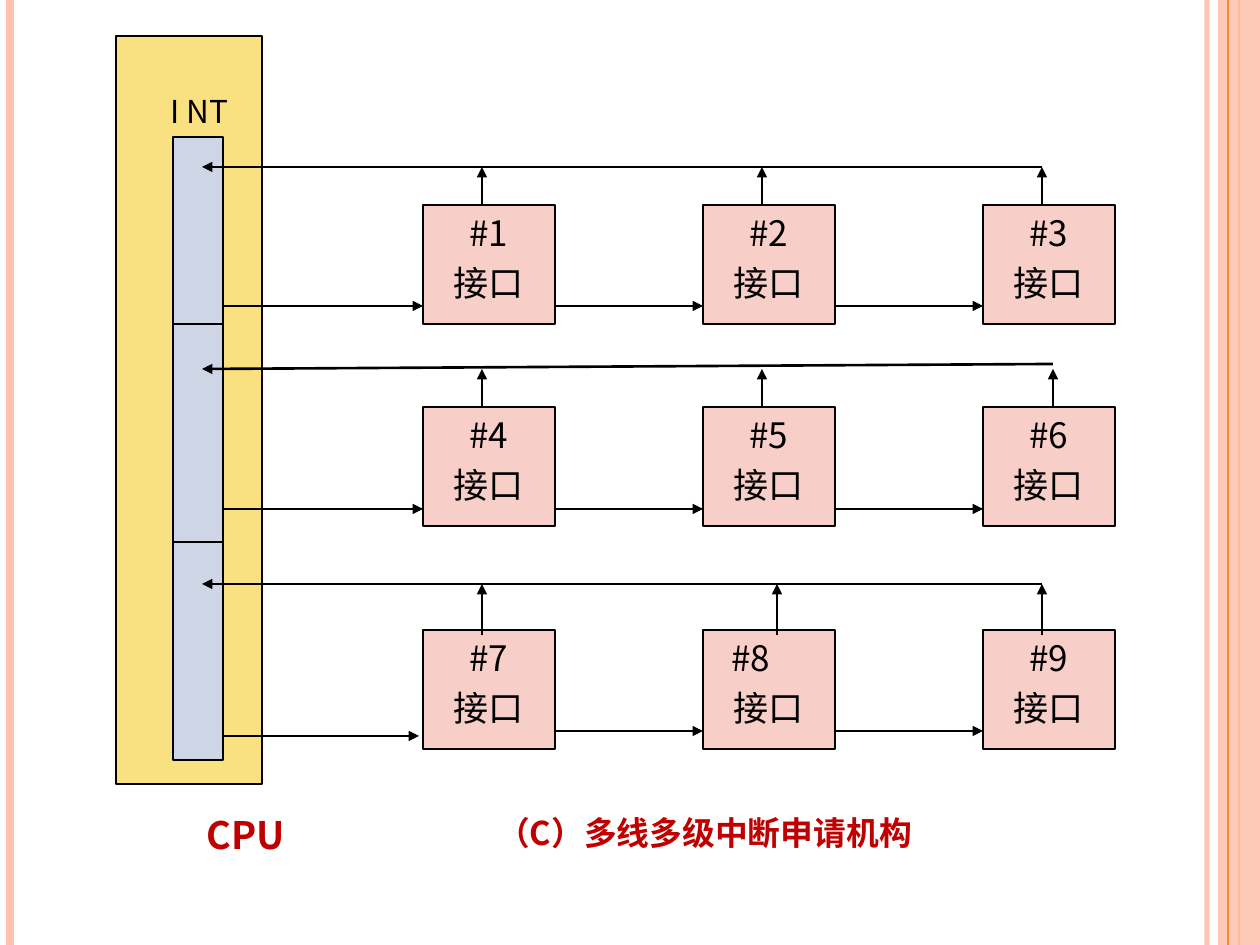
from lxml.etree import SubElement
from pptx import Presentation
from pptx.dml.color import RGBColor
from pptx.enum.shapes import MSO_CONNECTOR, MSO_SHAPE
from pptx.enum.text import MSO_ANCHOR, MSO_AUTO_SIZE, PP_ALIGN
from pptx.oxml.ns import qn
from pptx.util import Emu, Pt

FONT = "Noto Sans CJK SC"
COLS = (423, 703, 983)
BOX_W, BOX_H = 132, 119


def px(n):
    return Emu(round(n * 914400 / 126))


def paint(color, code):
    color.rgb = RGBColor.from_string(code)


def fade(fill, pct):
    hue = fill._xPr.find(".//" + qn("a:srgbClr"))
    SubElement(hue, qn("a:alpha")).set("val", str(pct * 1000))


def rect(slide, x, y, w, h, code, edge=True):
    shape = slide.shapes.add_shape(MSO_SHAPE.RECTANGLE, px(x), px(y), px(w), px(h))
    shape.shadow.inherit = False
    shape.fill.solid()
    paint(shape.fill.fore_color, code)
    if edge:
        paint(shape.line.color, "000000")
        shape.line.width = Pt(0.75)
    else:
        shape.line.fill.background()
    return shape


def line(slide, start, end, width, code="000000"):
    link = slide.shapes.add_connector(
        MSO_CONNECTOR.STRAIGHT, px(start[0]), px(start[1]), px(end[0]), px(end[1]))
    SubElement(link._element.spPr, qn("a:effectLst"))
    paint(link.line.color, code)
    link.line.width = Pt(width)
    return link


def arrow(slide, start, end, width):
    link = line(slide, start, end, width)
    tip = SubElement(link.line._get_or_add_ln(), qn("a:tailEnd"))
    tip.set("type", "triangle")


def style(para, size, code="000000", bold=False, caps=False):
    para.alignment = PP_ALIGN.CENTER
    for run in para.runs:
        run.font.size = Pt(size)
        run.font.name = FONT
        run.font.bold = bold
        paint(run.font.color, code)
        props = run._r.get_or_add_rPr()
        SubElement(props, qn("a:ea")).set("typeface", FONT)
        if caps:
            props.set("cap", "small")


def label(shape, text, size, code="000000", bold=False, caps=False, wrap=True):
    frame = shape.text_frame
    frame.text = text
    frame.word_wrap = wrap
    frame.auto_size = MSO_AUTO_SIZE.NONE
    frame.vertical_anchor = MSO_ANCHOR.MIDDLE
    style(frame.paragraphs[0], size, code, bold, caps)


def text_box(slide, x, y, w, h):
    return slide.shapes.add_textbox(px(x), px(y), px(w), px(h))


def port(slide, x, y, num):
    frame = rect(slide, x, y, BOX_W, BOX_H, "F8CFC8").text_frame
    frame.text = f"#{num}\n接口"
    frame.vertical_anchor = MSO_ANCHOR.TOP
    for para in frame.paragraphs:
        style(para, 20)
    first, last = frame.paragraphs
    last.space_before = Pt(5)
    if num == 8:
        first.alignment = PP_ALIGN.LEFT
        first._p.get_or_add_pPr().set("marL", str(px(16)))


def frame_page(slide):
    fade(line(slide, (1207, 0), (1207, 945), 3, "FEC3AE").line.fill, 93)
    line(slide, (10, 0), (10, 945), 4.5, "FEC3AE")
    line(slide, (1239, 0), (1239, 945), 1.5, "FE8637")
    fade(rect(slide, 1218, 0, 42, 945, "FEC3AE", False).fill, 87)
    line(slide, (1228, 0), (1228, 945), 0.75, "FE8637")


def cpu(slide):
    rect(slide, 116, 36, 146, 748, "F9E181")
    for top, end in ((137, 324), (324, 542), (542, 760)):
        rect(slide, 173, top, 50, end - top, "CED6E6")
    label(text_box(slide, 155, 86, 88, 49), "I NT", 18, wrap=False)


def level(slide, row, top, bus, feed, start, stems, base, entry):
    for col, x in enumerate(COLS):
        port(slide, x, top, row * 3 + col + 1)
    for x in stems:
        arrow(slide, (x, base), (x, bus), 0.75)
    arrow(slide, start, (202, bus), 1.5)
    for x, goal in zip(COLS, COLS[1:]):
        arrow(slide, (x + BOX_W, feed), (goal, feed), 1.5)
    end, y, width = entry
    arrow(slide, (224, y), (end, y), width)


def main():
    deck = Presentation()
    deck.slide_width, deck.slide_height = px(1260), px(945)
    slide = deck.slides.add_slide(deck.slide_layouts[5])
    frame_page(slide)
    cpu(slide)
    level(slide, 0, 205, 167, 306, (1042, 167), (482, 762, 1042), 205, (423, 306, 1.5))
    level(slide, 1, 407, 369, 509, (1053, 364), (482, 762, 1053), 407, (423, 509, 1.5))
    level(slide, 2, 630, 584, 731, (1042, 584), (482, 777, 1042), 635, (419, 736, 0.75))
    title = slide.shapes.title
    title.left, title.top, title.width, title.height = px(132), px(810), px(149), px(48)
    label(title, "CPU", 21.6, "C00000", True, True)
    note = text_box(slide, 413, 790, 583, 79)
    label(note, "（c）多线多级中断申请机构", 23.4, "C00000", True, True)
    deck.save("out.pptx")


if __name__ == "__main__":
    main()
